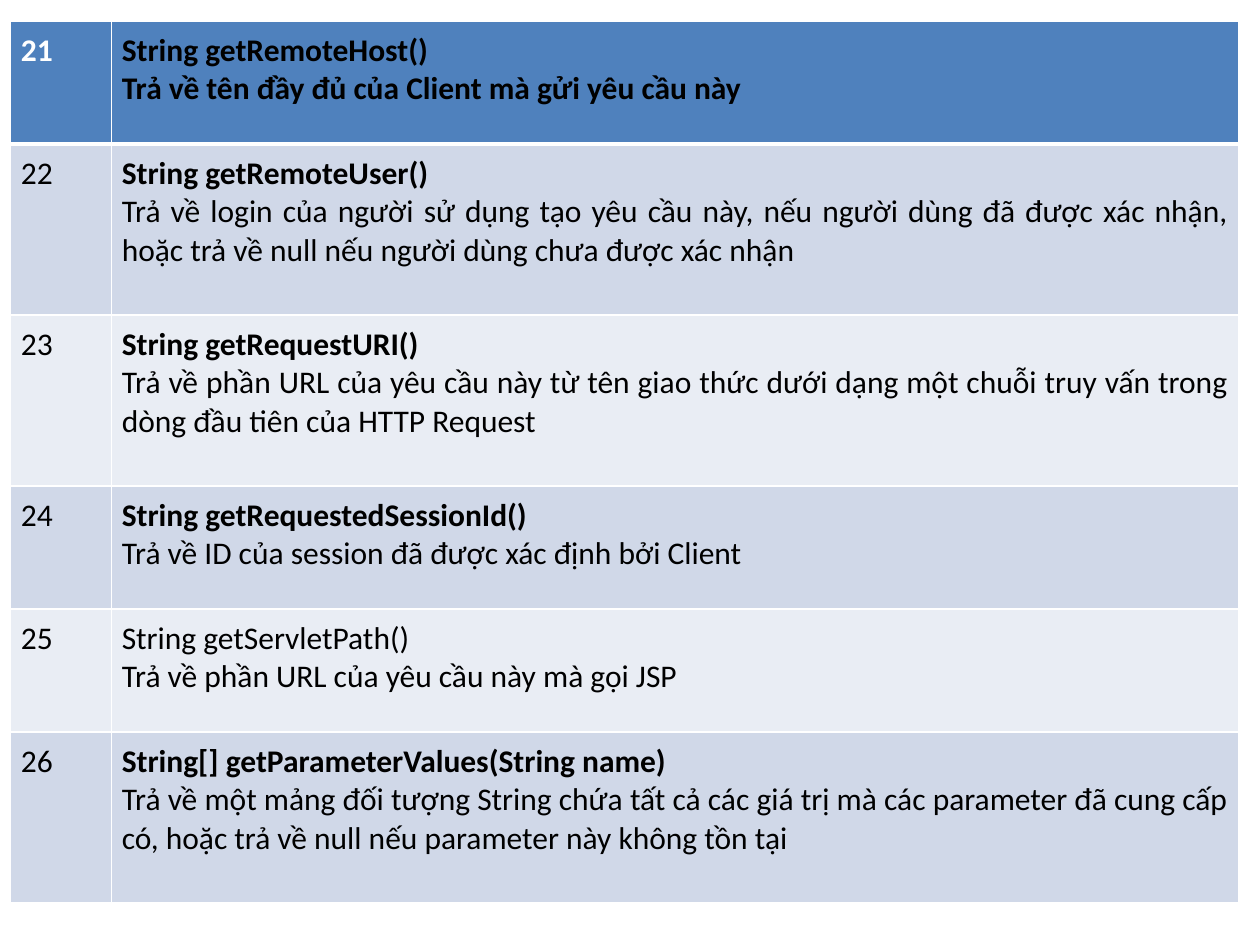
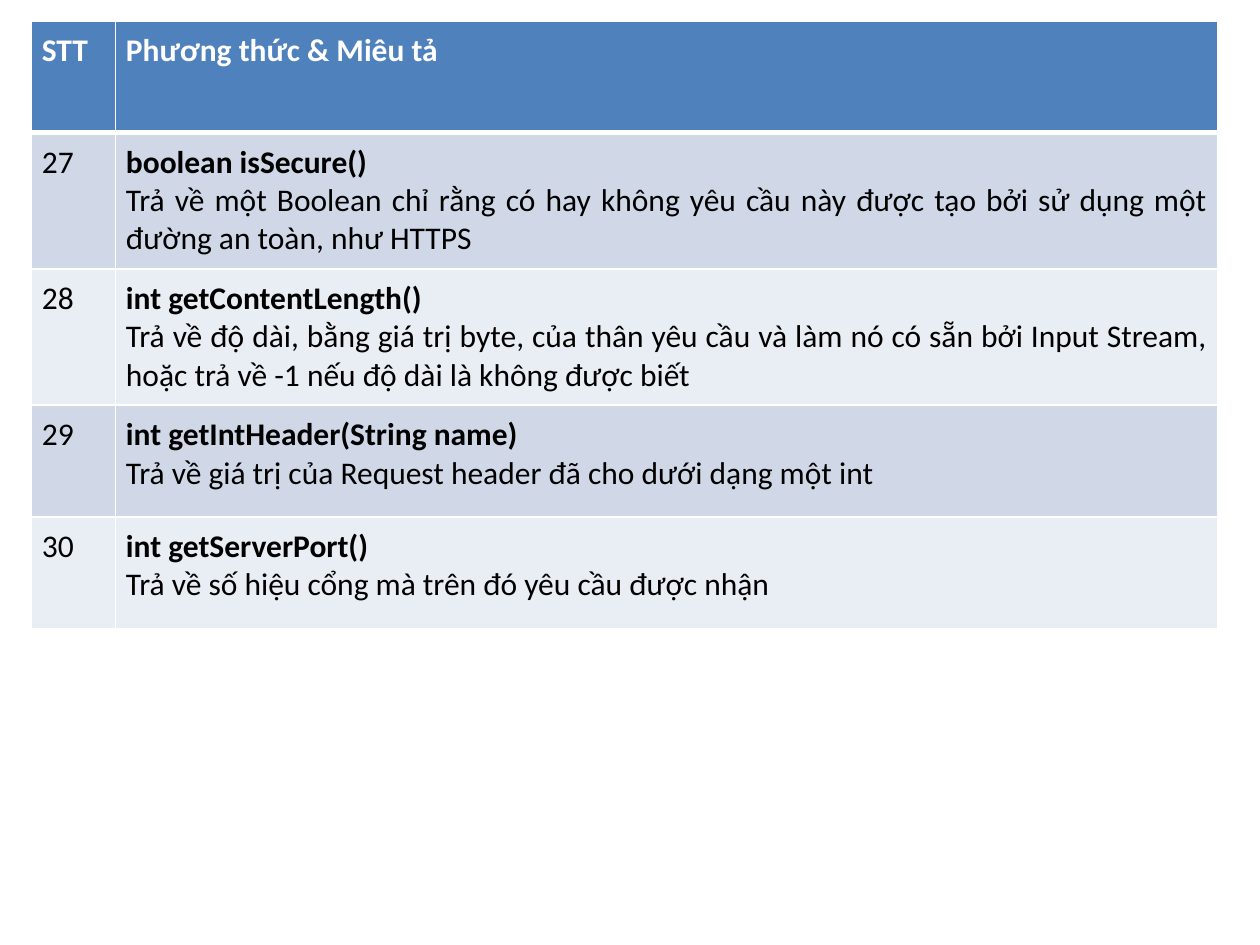
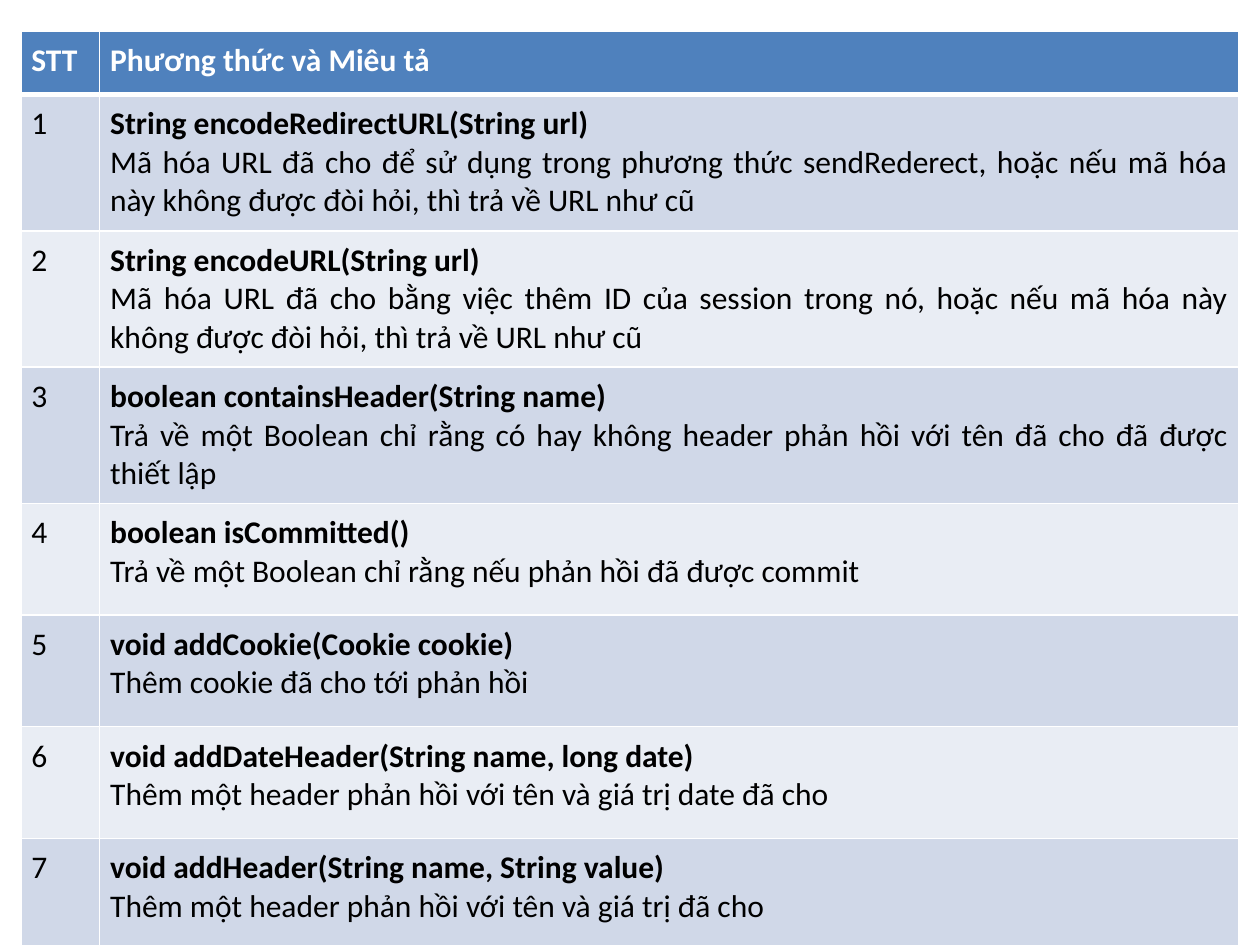
from dataclasses import dataclass

from lxml.etree import SubElement
from pptx import Presentation
from pptx.dml.color import RGBColor
from pptx.enum.text import PP_ALIGN as Align
from pptx.oxml.ns import qn
from pptx.slide import Slide
from pptx.table import _Cell as Cell
from pptx.util import Pt

FONT, SIZE, INSET = "Calibri", 18, 6
WHITE, BLACK, HEADER = "FFFFFF", "000000", "4F81BD"
BANDS = ("D0D8E8", "E9EDF4")
THIN, THICK = 1, 3


@dataclass
class Line:
    """One paragraph of a cell."""
    text: str
    bold: bool = False
    color: str = BLACK
    align: Align | None = None


@dataclass
class Row:
    """A numbered method with its description."""
    label: str
    method: str
    description: str = ""
    height: float = 63.8
    bold_method: bool = True
    bold_description: bool = False


@dataclass
class MethodTable:
    """A two-column table and its place on the slide."""
    left: float
    top: float
    height: float
    columns: tuple[float, float]
    rows: list[Row]


SHORT, TALL = 70.3, 97.7

TABLES = [
    MethodTable(6, 12, 504, (57.6, 644.4), [
        Row("21", "String getRemoteHost()", "Trả về tên đầy đủ của Client mà gửi yêu cầu này",
            SHORT, bold_description=True),
        Row("22", "String getRemoteUser()",
            "Trả về login của người sử dụng tạo yêu cầu này, nếu người dùng đã được xác nhận, "
            "hoặc trả về null nếu người dùng chưa được xác nhận", TALL),
        Row("23", "String getRequestURI()",
            "Trả về phần URL của yêu cầu này từ tên giao thức dưới dạng một chuỗi truy vấn trong "
            "dòng đầu tiên của HTTP Request", TALL),
        Row("24", "String getRequestedSessionId()",
            "Trả về ID của session đã được xác định bởi Client", SHORT),
        Row("25", "String getServletPath()", "Trả về phần URL của yêu cầu này mà gọi JSP",
            SHORT, bold_method=False),
        Row("26", "String[] getParameterValues(String name)",
            "Trả về một mảng đối tượng String chứa tất cả các giá trị mà các parameter đã cung cấp "
            "có, hoặc trả về null nếu parameter này không tồn tại", TALL),
    ]),
    MethodTable(18, 12, 345, (48, 630), [
        Row("STT", "Phương thức & Miêu tả"),
        Row("27", "boolean isSecure()",
            "Trả về một Boolean chỉ rằng có hay không yêu cầu này được tạo bởi sử dụng một "
            "đường an toàn, như HTTPS"),
        Row("28", "int getContentLength()",
            "Trả về độ dài, bằng giá trị byte, của thân yêu cầu và làm nó có sẵn bởi Input Stream, "
            "hoặc trả về -1 nếu độ dài là không được biết"),
        Row("29", "int getIntHeader(String name)",
            "Trả về giá trị của Request header đã cho dưới dạng một int"),
        Row("30", "int getServerPort()", "Trả về số hiệu cổng mà trên đó yêu cầu được nhận"),
    ]),
    MethodTable(12, 18, 521, (45, 651), [
        Row("STT", "Phương thức và Miêu tả", height=36),
        Row("1", "String encodeRedirectURL(String url)",
            "Mã hóa URL đã cho để sử dụng trong phương thức sendRederect, hoặc nếu mã hóa "
            "này không được đòi hỏi, thì trả về URL như cũ"),
        Row("2", "String encodeURL(String url)",
            "Mã hóa URL đã cho bằng việc thêm ID của session trong nó, hoặc nếu mã hóa này "
            "không được đòi hỏi, thì trả về URL như cũ"),
        Row("3", "boolean containsHeader(String name)",
            "Trả về một Boolean chỉ rằng có hay không header phản hồi với tên đã cho đã được "
            "thiết lập"),
        Row("4", "boolean isCommitted()", "Trả về một Boolean chỉ rằng nếu phản hồi đã được commit"),
        Row("5", "void addCookie(Cookie cookie)", "Thêm cookie đã cho tới phản hồi"),
        Row("6", "void addDateHeader(String name, long date)",
            "Thêm một header phản hồi với tên và giá trị date đã cho"),
        Row("7", "void addHeader(String name, String value)",
            "Thêm một header phản hồi với tên và giá trị đã cho"),
    ]),
]


def rgb(color: str) -> RGBColor:
    """Turn a hex string into a colour."""
    return RGBColor.from_string(color)


def set_borders(cell: Cell, top: float, bottom: float) -> None:
    """Give the cell white borders on all four sides."""
    tc_pr = cell._tc.get_or_add_tcPr()
    for side, width in (("L", THIN), ("R", THIN), ("T", top), ("B", bottom)):
        ln = SubElement(tc_pr, qn(f"a:ln{side}"), w=str(Pt(width)))
        fill = SubElement(ln, qn("a:solidFill"))
        SubElement(fill, qn("a:srgbClr"), val=WHITE)


def write_lines(cell: Cell, lines: list[Line]) -> None:
    """Write each line as a paragraph of the cell."""
    tf = cell.text_frame
    for i, line in enumerate(lines):
        p = tf.add_paragraph() if i else tf.paragraphs[0]
        p.alignment = line.align
        r = p.add_run()
        r.text = line.text
        r.font.name, r.font.size, r.font.bold = FONT, Pt(SIZE), line.bold
        r.font.color.rgb = rgb(line.color)


def row_lines(row: Row, header: bool) -> tuple[list[Line], list[Line]]:
    """Return the paragraphs of the label cell and the method cell."""
    label = [Line(row.label, header, WHITE if header else BLACK)]
    if not row.description:
        return label, [Line(row.method, True, WHITE)]
    return label, [Line(row.method, row.bold_method, align=Align.JUSTIFY),
                   Line(row.description, row.bold_description, align=Align.JUSTIFY)]


def draw_table(slide: Slide, spec: MethodTable) -> None:
    """Draw a method table with a header row and banded body rows."""
    frame = slide.shapes.add_table(len(spec.rows), len(spec.columns), Pt(spec.left), Pt(spec.top),
                                   Pt(sum(spec.columns)), Pt(spec.height))
    table = frame.table
    table.horz_banding = False
    for column, width in zip(table.columns, spec.columns):
        column.width = Pt(width)
    for i, row in enumerate(spec.rows):
        table.rows[i].height = Pt(row.height)
        for cell, lines in zip(table.rows[i].cells, row_lines(row, i == 0)):
            cell.margin_left = cell.margin_right = Pt(INSET)
            cell.margin_top = cell.margin_bottom = Pt(INSET)
            set_borders(cell, THICK if i == 1 else THIN, THICK if i == 0 else THIN)
            cell.fill.solid()
            cell.fill.fore_color.rgb = rgb(BANDS[(i - 1) % 2] if i else HEADER)
            write_lines(cell, lines)
    frame.height = Pt(spec.height)


def main() -> None:
    """Build one slide for each table."""
    prs = Presentation()
    prs.slide_width, prs.slide_height = Pt(720), Pt(540)
    for method_table in TABLES:
        draw_table(prs.slides.add_slide(prs.slide_layouts[6]), method_table)
    prs.save("out.pptx")


if __name__ == "__main__":
    main()
